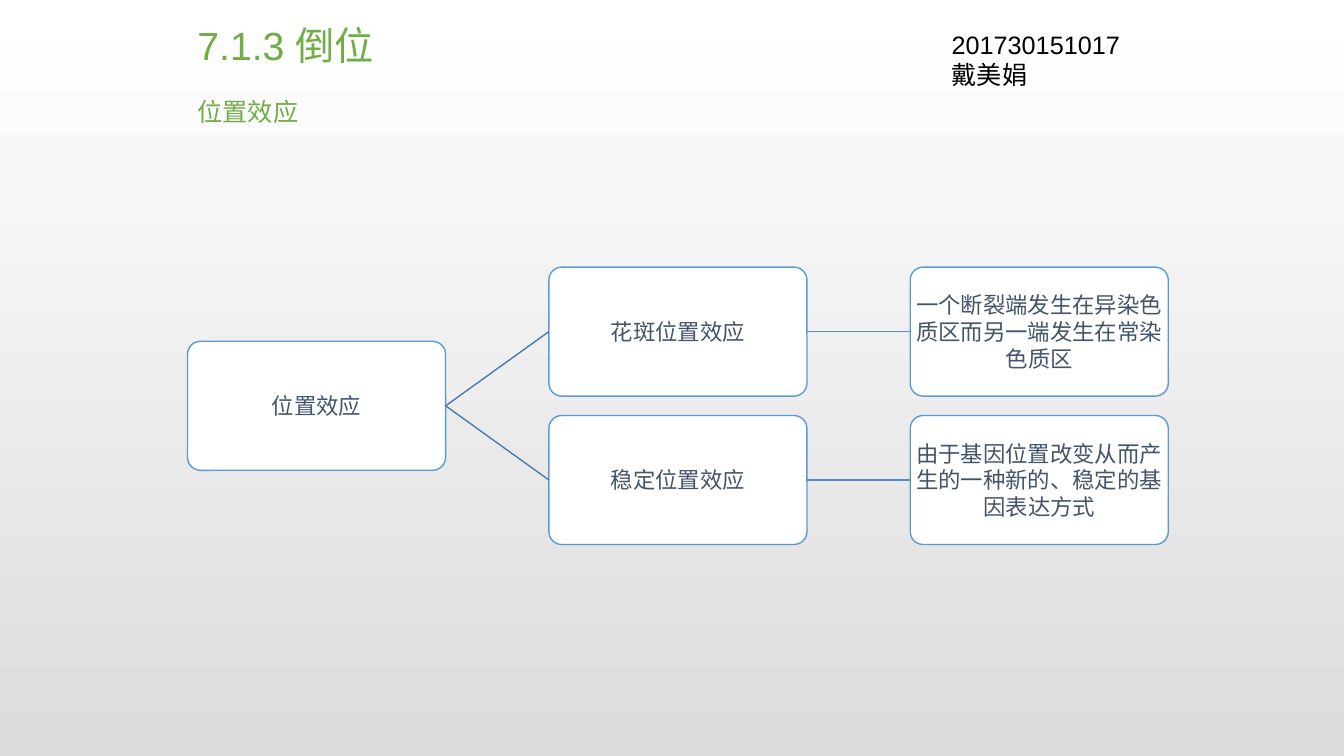
import pptx
import pptx.util
import pptx.dml.color
import pptx.enum.shapes
import pptx.enum.text
import pptx.oxml

Inches, Pt = pptx.util.Inches, pptx.util.Pt

COLORS = {"box": "FFFFFF", "edge": "5B9BD5", "ink": "44546A", "fork": "497CAB",
          "link": "538DC1", "head": "70AD47", "name": "000000",
          "top": "FFFFFF", "base": "DCDCDC"}

# left, top, width, height, size, colour, text
LABELS = [
    (1.86, 0.16, 2.87, 0.57, 28, "head", "7.1.3 倒位"),
    (1.86, 0.91, 1.72, 0.40, 18, "head", "位置效应"),
    (9.34, 0.24, 1.98, 0.70, 18, "name", "201730151017\n戴美娟"),
]
# key: (column, row, text)
NODES = {
    "root": (0, 0.5, "位置效应"),
    "spot": (1, 0, "花斑位置效应"),
    "spot why": (2, 0, "一个断裂端发生在异染色质区而另一端发生在常染色质区"),
    "firm": (1, 1, "稳定位置效应"),
    "firm why": (2, 1, "由于基因位置改变从而产生的一种新的、稳定的基因表达方式"),
}
LINKS = [("root", "spot", "fork"), ("root", "firm", "fork"),
         ("spot", "spot why", "link"), ("firm", "firm why", "link")]

LEFT, TOP = 1.86, 2.65
WIDE = 2.56
HIGH = WIDE / 2
STEP_X, STEP_Y = WIDE * 1.4, HIGH * 1.15


def color(key):
    return pptx.dml.color.RGBColor.from_string(COLORS[key])


def write(frame, text, size, key, align=None):
    frame.text = text
    frame.word_wrap = True
    for para in frame.paragraphs:
        para.alignment = align
        for run in para.runs:
            run.font.name = "Arial"
            run.font.size = Pt(size)
            run.font.color.rgb = color(key)


def add_node(slide, col, row, text):
    box = slide.shapes.add_shape(
        pptx.enum.shapes.MSO_SHAPE.ROUNDED_RECTANGLE,
        Inches(LEFT + col * STEP_X), Inches(TOP + row * STEP_Y),
        Inches(WIDE), Inches(HIGH))
    box.adjustments[0] = 0.1
    box.shadow.inherit = False
    box.fill.solid()
    box.fill.fore_color.rgb = color("box")
    box.line.color.rgb = color("edge")
    box.line.width = Pt(1)
    frame = box.text_frame
    frame.margin_left = frame.margin_right = Inches(0.01)
    frame.margin_top = frame.margin_bottom = Inches(0.01)
    frame.vertical_anchor = pptx.enum.text.MSO_ANCHOR.MIDDLE
    write(frame, text, 16, "ink", pptx.enum.text.PP_ALIGN.CENTER)
    return box


def add_link(slide, start, end, key):
    line = slide.shapes.add_connector(
        pptx.enum.shapes.MSO_CONNECTOR.STRAIGHT, 0, 0, 0, 0)
    line.begin_connect(start, 3)
    line.end_connect(end, 1)
    line.line.color.rgb = color(key)
    line.line.width = Pt(1)
    line._element.spPr.append(pptx.oxml.parse_xml(
        '<a:effectLst xmlns:a="http://schemas.openxmlformats.org/drawingml/2006/main"/>'))


def main():
    deck = pptx.Presentation()
    deck.slide_width, deck.slide_height = Inches(13.33), Inches(7.5)
    slide = deck.slides.add_slide(deck.slide_layouts[6])

    fill = slide.background.fill
    fill.gradient()
    fill.gradient_angle = 270
    for stop, key, place in zip(fill.gradient_stops, ("top", "base"), (0, 1)):
        stop.color.rgb = color(key)
        stop.position = place

    boxes = {key: add_node(slide, *node) for key, node in NODES.items()}
    for start, end, key in LINKS:
        add_link(slide, boxes[start], boxes[end], key)

    for left, top, wide, high, size, key, text in LABELS:
        label = slide.shapes.add_textbox(
            Inches(left), Inches(top), Inches(wide), Inches(high))
        write(label.text_frame, text, size, key)
        label.text_frame.auto_size = pptx.enum.text.MSO_AUTO_SIZE.SHAPE_TO_FIT_TEXT

    deck.save("out.pptx")


if __name__ == "__main__":
    main()
